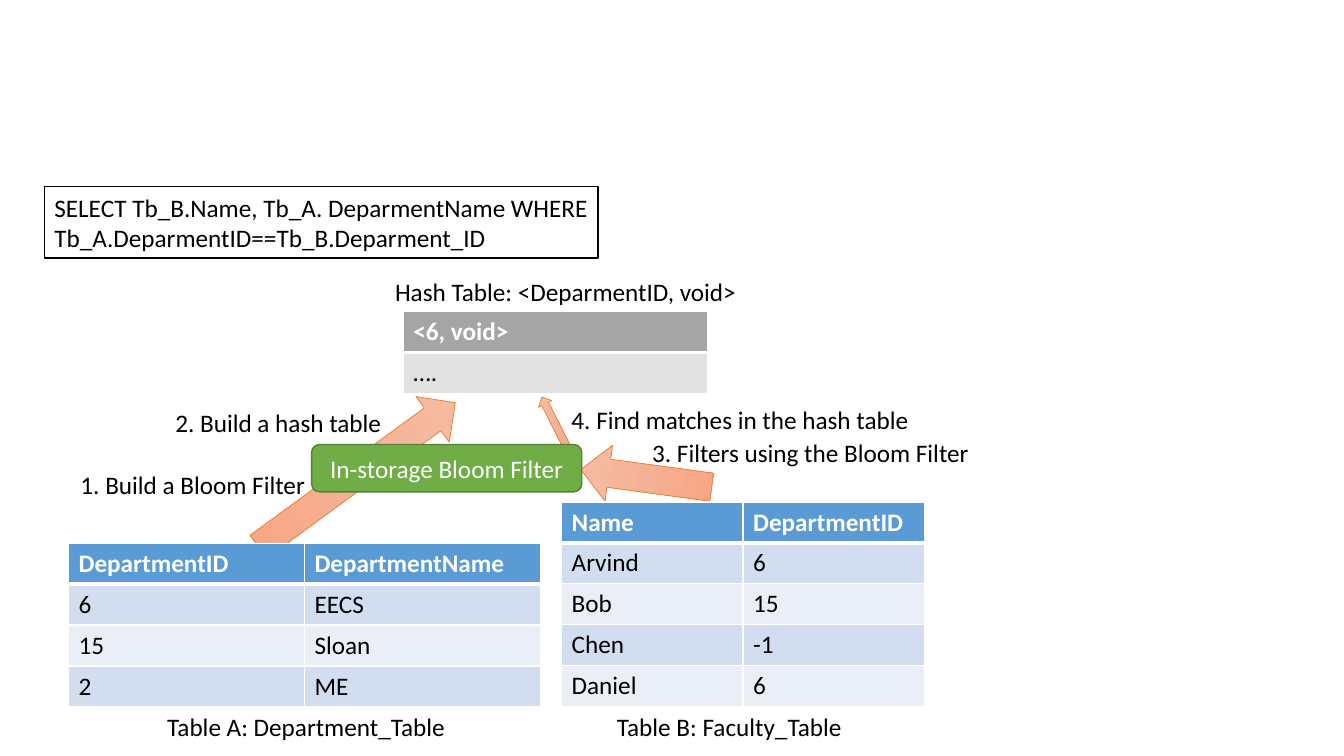
from copy import deepcopy

from lxml import etree
from pptx import Presentation
from pptx.dml.color import RGBColor
from pptx.enum import shapes, text
from pptx.oxml import ns
from pptx.util import Inches, Pt

FONT = "Calibri"
BLACK = RGBColor(0, 0, 0)
WHITE = RGBColor(255, 255, 255)
BLUE = RGBColor(0x5B, 0x9B, 0xD5)
BANDS = (RGBColor(0xD2, 0xDE, 0xEF), RGBColor(0xEA, 0xEF, 0xF7))
GRAY = RGBColor(0xA5, 0xA5, 0xA5)
PALE = RGBColor(0xE1, 0xE1, 0xE1)
GREEN = RGBColor(0x70, 0xAD, 0x47)
MOSS = RGBColor(0x53, 0x80, 0x35)
ORANGE = RGBColor(0xED, 0x7D, 0x31)
FADE = (RGBColor(0xF7, 0xBD, 0xA5), RGBColor(0xF5, 0xB1, 0x96),
        RGBColor(0xF8, 0xA5, 0x82))
ROW = 0.405


def write(frame, words, color=BLACK, bold=False, align=text.PP_ALIGN.LEFT):
    """Put one formatted paragraph into a text frame."""
    para = frame.paragraphs[0]
    para.alignment = align
    run = para.add_run()
    run.text = words
    run.font.name = FONT
    run.font.size = Pt(18)
    run.font.bold = bold
    run.font.color.rgb = color


def label(slide, words, left, top, width=3.8):
    """Add a plain text label."""
    box = slide.shapes.add_textbox(
        Inches(left), Inches(top), Inches(width), Inches(0.4))
    box.text_frame.word_wrap = True
    write(box.text_frame, words)


def shape(slide, kind, place, edge, weight):
    """Add an outlined preset shape without a shadow."""
    item = slide.shapes.add_shape(kind, *map(Inches, place))
    item.shadow.inherit = False
    item.line.color.rgb = edge
    item.line.width = Pt(weight)
    return item


def panel(slide, kind, place, words, fill, edge, **style):
    """Add a filled shape that holds text."""
    item = shape(slide, kind, place, edge, 1)
    item.fill.solid()
    item.fill.fore_color.rgb = fill
    item.text_frame.word_wrap = True
    item.text_frame.vertical_anchor = text.MSO_ANCHOR.MIDDLE
    write(item.text_frame, words, **style)


def arrow(slide, place, turn):
    """Add a turned block arrow that fades from head to tail."""
    item = shape(slide, shapes.MSO_SHAPE.UP_ARROW, place, ORANGE, 0.5)
    item.rotation = turn
    item.fill.gradient()
    item.fill.gradient_angle = 270
    first = item.fill.gradient_stops[0]._gs
    first.addnext(deepcopy(first))
    for stop, color, spot in zip(item.fill.gradient_stops, FADE, (0, 0.5, 1)):
        stop.color.rgb = color
        stop.position = spot


def border(cell, top, bottom):
    """Draw white cell borders with the given top and bottom weights."""
    props = cell._tc.get_or_add_tcPr()
    for side, weight in zip("LRTB", (1, 1, top, bottom)):
        line = etree.SubElement(props, ns.qn("a:ln" + side), w=str(Pt(weight)))
        fill = etree.SubElement(line, ns.qn("a:solidFill"))
        etree.SubElement(fill, ns.qn("a:srgbClr"), val=str(WHITE))


def table(slide, left, top, width, rows, head=BLUE, bands=BANDS):
    """Add a table with a bold header row and banded body rows."""
    count = len(rows[0])
    grid = slide.shapes.add_table(
        len(rows), count, Inches(left), Inches(top),
        Inches(width), Inches(ROW * len(rows))).table
    for col in grid.columns:
        col.width = Inches(width / count)
    for i, row in enumerate(rows):
        grid.rows[i].height = Inches(ROW)
        for j, words in enumerate(row):
            cell = grid.cell(i, j)
            border(cell, 3 if i == 1 else 1, 3 if i == 0 else 1)
            cell.fill.solid()
            cell.fill.fore_color.rgb = bands[(i - 1) % len(bands)] if i else head
            write(cell.text_frame, words, BLACK if i else WHITE, bold=i == 0)


def main():
    """Build the Bloom filter join slide."""
    deck = Presentation()
    deck.slide_width, deck.slide_height = Inches(13.33), Inches(7.5)
    slide = deck.slides.add_slide(deck.slide_layouts[6])

    arrow(slide, (5.47, 3.9, 0.15, 0.76), 333.3)
    arrow(slide, (6.13, 4.09, 0.56, 1.31), 277.7)
    arrow(slide, (3.26, 3.5, 0.56, 2.42), 53.8)

    table(slide, 5.57, 4.98, 3.6, [
        ("Name", "DepartmentID"), ("Arvind", "6"), ("Bob", "15"),
        ("Chen", "-1"), ("Daniel", "6")])
    table(slide, 0.68, 5.39, 4.68, [
        ("DepartmentID", "DepartmentName"), ("6", "EECS"),
        ("15", "Sloan"), ("2", "ME")])
    table(slide, 4, 3.09, 3.02, [("<6, void>",), ("….",)], GRAY, (PALE,))

    label(slide, "Table A: Department_Table", 1.56, 7.01)
    label(slide, "Table B: Faculty_Table", 6.02, 7.01)
    label(slide, "Hash Table: <DeparmentID, void>", 3.82, 2.69)
    panel(slide, shapes.MSO_SHAPE.RECTANGLE, (0.44, 1.85, 5.49, 0.71),
          "SELECT Tb_B.Name, Tb_A. DeparmentName WHERE "
          "Tb_A.DeparmentID==Tb_B.Deparment_ID", WHITE, BLACK)
    label(slide, "1. Build a Bloom Filter", 0.7, 4.61)
    label(slide, "4. Find matches in the hash table", 5.57, 3.96)
    panel(slide, shapes.MSO_SHAPE.ROUNDED_RECTANGLE, (3.09, 4.41, 2.68, 0.47),
          "In-storage Bloom Filter", GREEN, MOSS,
          color=WHITE, align=text.PP_ALIGN.CENTER)
    label(slide, "2. Build a hash table", 1.64, 3.99, 2.31)
    label(slide, "3. Filters using the Bloom Filter", 6.37, 4.29)
    deck.save("out.pptx")


main()
